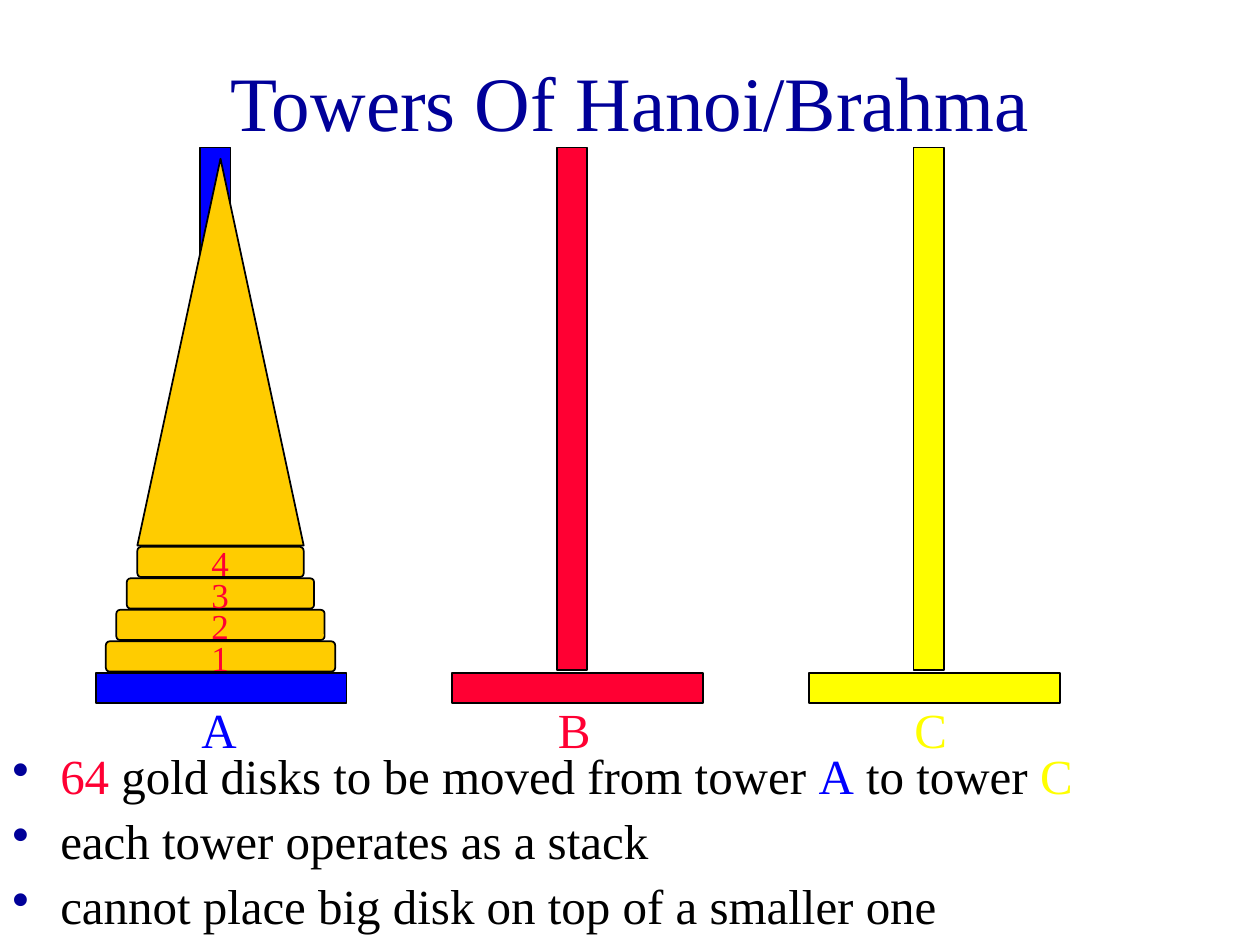
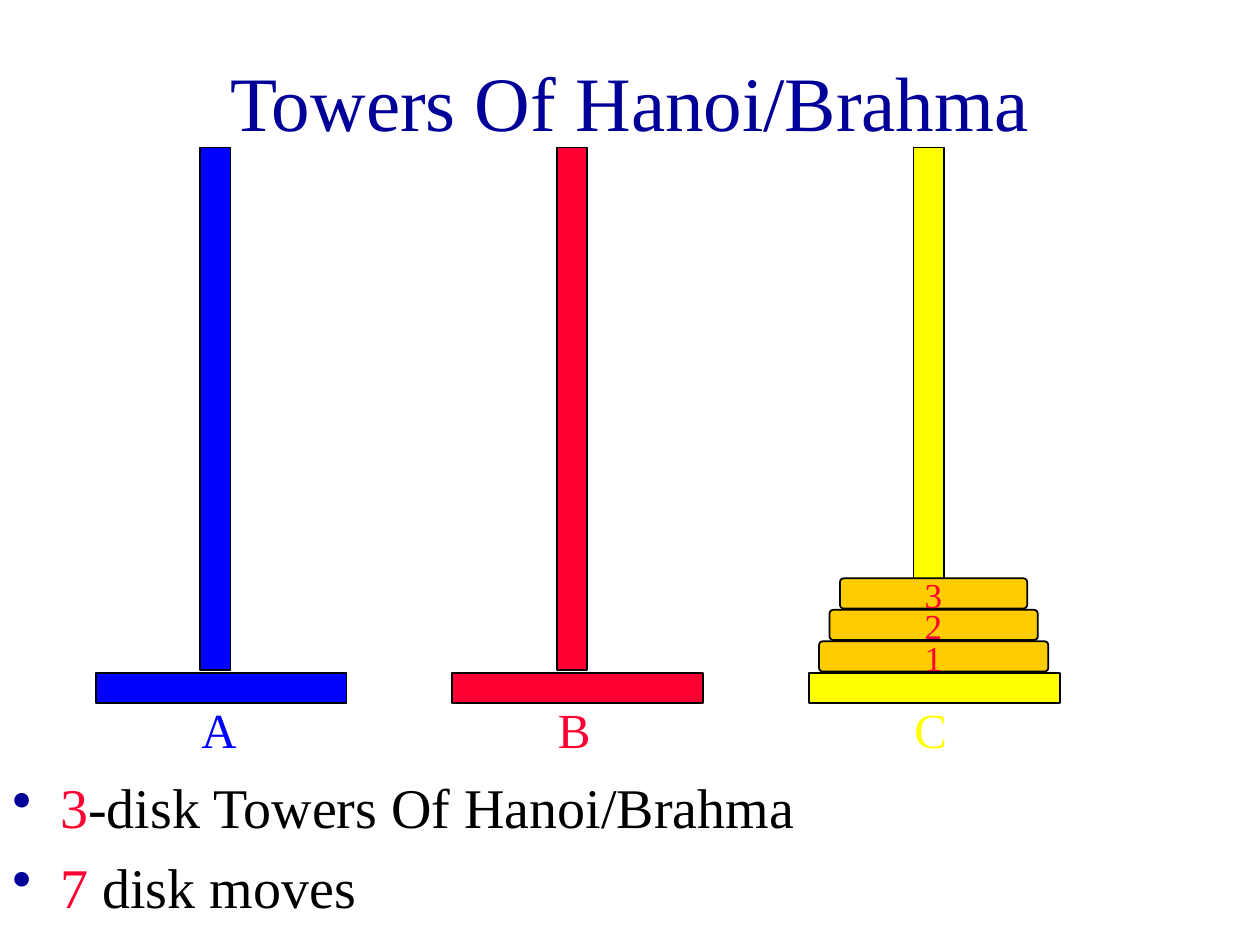
"""Build two slides about the Towers of Hanoi puzzle."""
from lxml.etree import SubElement
from pptx import Presentation
from pptx.dml.color import RGBColor
from pptx.enum.shapes import MSO_SHAPE as Preset
from pptx.enum.text import MSO_ANCHOR as Anchor, MSO_AUTO_SIZE as AutoSize, PP_ALIGN as Align
from pptx.oxml.ns import qn
from pptx.util import Inches, Pt

NAVY = RGBColor(0x00, 0x00, 0x99)
BLUE = RGBColor(0x00, 0x00, 0xFF)
RED = RGBColor(0xFF, 0x00, 0x33)
YELLOW = RGBColor(0xFF, 0xFF, 0x00)
GOLD = RGBColor(0xFF, 0xCC, 0x00)
BLACK = RGBColor(0x00, 0x00, 0x00)

FONT = "Times New Roman"
TITLE = "Towers Of Hanoi/Brahma"
TOWERS = [("A", BLUE), ("B", RED), ("C", YELLOW)]
TOWER_LEFT, TOWER_PITCH = 0.76, 2.83
BAR = 0.24  # thickness of bases, poles and disks
DISK_TOP, DISK_PITCH = 5.09, 0.25
DISK_WIDTH, DISK_STEP = 1.82, 1 / 6
BULLET_INDENT = 0.38


def tower_left(index):
    """Return the left edge of a tower's base."""
    return TOWER_LEFT + index * TOWER_PITCH


def add_block(shapes, preset, box, color):
    """Add a filled preset shape with a thin black outline."""
    shape = shapes.add_shape(preset, *map(Inches, box))
    shape.shadow.inherit = False
    shape.fill.solid()
    shape.fill.fore_color.rgb = color
    shape.line.color.rgb = BLACK
    shape.line.width = Pt(1)
    return shape


def add_text(shapes, box, paragraphs, size, frame_format=None, **paragraph_format):
    """Add a text box; each paragraph is a list of (text, color) runs."""
    frame = shapes.add_textbox(*map(Inches, box)).text_frame
    frame.word_wrap = True
    for name, value in (frame_format or {}).items():
        setattr(frame, name, value)
    for index, runs in enumerate(paragraphs):
        paragraph = frame.paragraphs[0] if index == 0 else frame.add_paragraph()
        for name, value in paragraph_format.items():
            setattr(paragraph, name, value)
        for text, color in runs:
            run = paragraph.add_run()
            run.text = text
            font_format = {"name": FONT, "size": Pt(size)}
            for name, value in font_format.items():
                setattr(run.font, name, value)
            run.font.color.rgb = color
    return frame


def add_label(shapes, box, text, size, color):
    """Add a short label that grows with its text."""
    add_text(shapes, box, [[(text, color)]], size,
             {"auto_size": AutoSize.SHAPE_TO_FIT_TEXT}, space_before=Pt(size * 0.625))


def add_bullets(slide, box, paragraphs, size, line_spacing=0.9):
    """Add a bulleted list with navy bullets and a hanging indent."""
    frame = add_text(slide.shapes, box, paragraphs, size,
                     space_before=Pt(size / 4), line_spacing=line_spacing)
    for paragraph in frame.paragraphs:
        properties = paragraph._p.get_or_add_pPr()
        properties.set("marL", str(Inches(BULLET_INDENT)))
        properties.set("indent", str(-Inches(BULLET_INDENT)))
        bullet_color = SubElement(properties, qn("a:buClr"))
        SubElement(bullet_color, qn("a:srgbClr"), val=str(NAVY))
        SubElement(properties, qn("a:buChar"), char="\u2022")


def add_tower(slide, index):
    """Add one grouped tower: base, pole and letter."""
    letter, color = TOWERS[index]
    left = tower_left(index)
    shapes = slide.shapes.add_group_shape().shapes
    add_block(shapes, Preset.RECTANGLE, (left, 5.34, 1.99, BAR), color)
    add_block(shapes, Preset.RECTANGLE, (left + 0.83, 1.17, BAR, 4.15), color)
    add_label(shapes, (left + 0.74, 5.5, 1, 0.57), letter, 28, color)


def add_disks(slide, tower, count):
    """Stack numbered disks on a tower, the largest at the bottom."""
    left = tower_left(tower)
    for level in range(count):
        rise = level * DISK_PITCH
        shapes = slide.shapes.add_group_shape().shapes
        box = (left + 0.08 + level * DISK_STEP / 2, DISK_TOP - rise,
               DISK_WIDTH - level * DISK_STEP, BAR)
        disk = add_block(shapes, Preset.ROUNDED_RECTANGLE, box, GOLD)
        disk.adjustments[0] = 0.125
        add_label(shapes, (left + 0.82, 5 - rise, 0.75, 0.43), str(level + 1), 20, RED)


def add_puzzle_slide(presentation, disk_tower, disk_count):
    """Add a slide with the title, the three towers and a stack of disks."""
    slide = presentation.slides.add_slide(presentation.slide_layouts[6])
    add_text(slide.shapes, (0.75, 0.17, 8.5, 1.25), [[(TITLE, NAVY)]], 44,
             {"vertical_anchor": Anchor.MIDDLE}, alignment=Align.CENTER)
    for index in range(len(TOWERS)):
        add_tower(slide, index)
    add_disks(slide, disk_tower, disk_count)
    return slide


def main():
    """Build and save the presentation."""
    presentation = Presentation()
    presentation.slide_width = Inches(10)
    presentation.slide_height = Inches(7.5)

    rules = add_puzzle_slide(presentation, disk_tower=0, disk_count=4)
    add_block(rules.shapes, Preset.ISOSCELES_TRIANGLE, (1.09, 1.26, 1.32, 3.07), GOLD)
    add_bullets(rules, (0, 5.92, 9.92, 1.58), [
        [("64", RED), (" gold disks to be moved from tower ", BLACK), ("A", BLUE),
         (" to tower ", BLACK), ("C", YELLOW)],
        [("each tower operates as a stack", BLACK)],
        [("cannot place big disk on top of a smaller one", BLACK)],
    ], 28)

    example = add_puzzle_slide(presentation, disk_tower=2, disk_count=3)
    add_bullets(example, (0, 6.14, 9.92, 0.61),
                [[("3", RED), ("-disk Towers Of Hanoi/Brahma", BLACK)]], 32)
    add_bullets(example, (0, 6.72, 9.92, 0.61),
                [[("7", RED), (" disk moves", BLACK)]], 32, line_spacing=1.0)

    presentation.save("out.pptx")


main()
